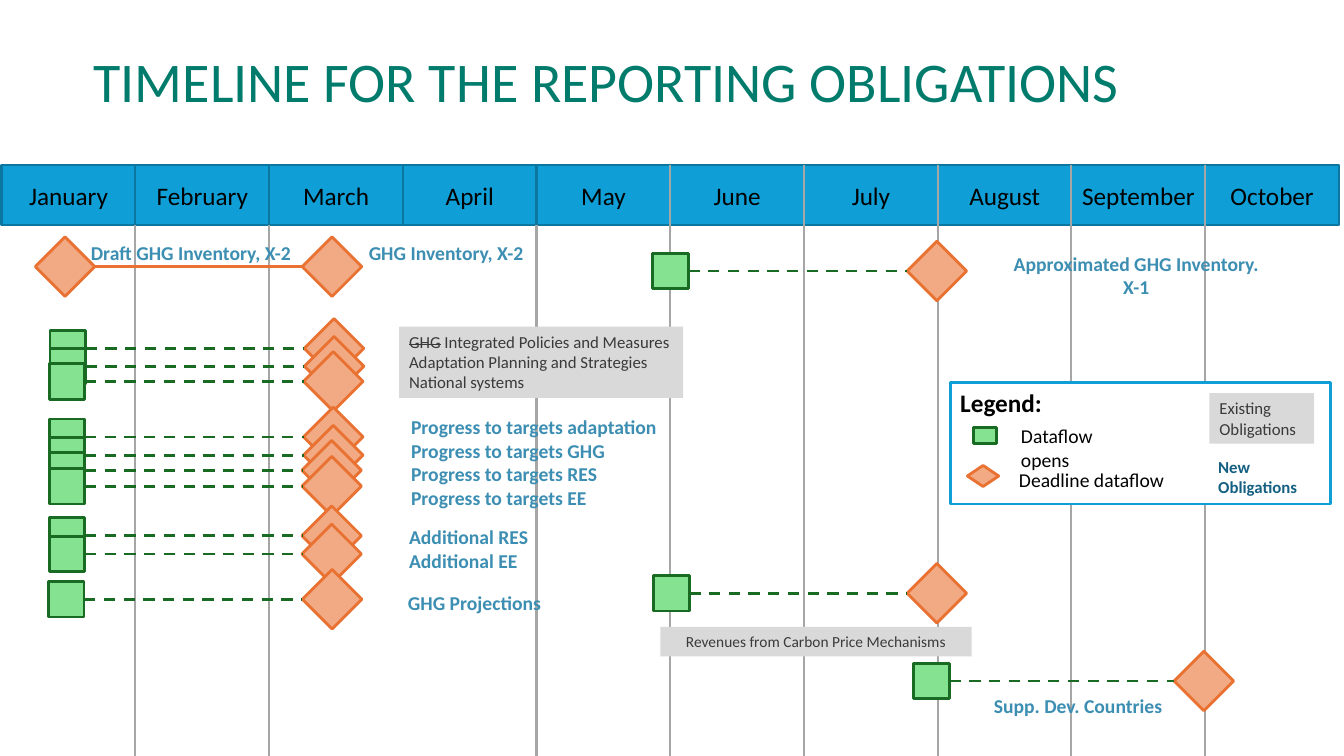
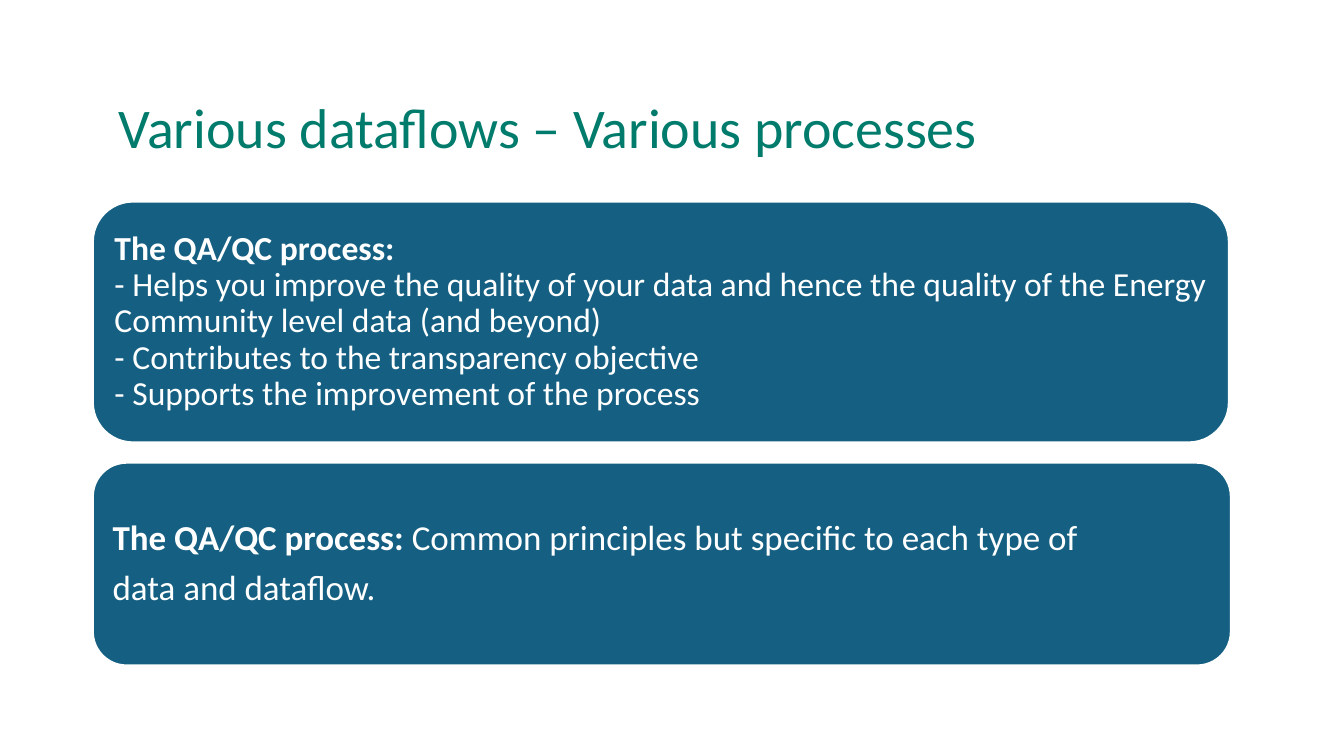
import pptx
import pptx.util
import pptx.dml.color
import pptx.enum.dml
import pptx.enum.shapes
import pptx.enum.text
import pptx.oxml.ns
import lxml.etree
from dataclasses import dataclass

Cm = pptx.util.Cm
Pt = pptx.util.Pt
Kind = pptx.enum.shapes.MSO_SHAPE
Align = pptx.enum.text.PP_ALIGN
Anchor = pptx.enum.text.MSO_ANCHOR


@dataclass(frozen=True)
class Theme:
    font: str = "Calibri"
    title: str = "007B6C"
    black: str = "000000"
    white: str = "FFFFFF"
    month: str = "0F9ED5"
    month_edge: str = "0B76A0"
    grid: str = "A6A6A6"
    deadline: str = "F2AA84"
    deadline_edge: str = "E97132"
    opening: str = "84E291"
    opening_edge: str = "196B24"
    new: str = "3C8EB2"
    navy: str = "156082"
    existing: str = "3A3A3A"
    existing_fill: str = "D9D9D9"
    title_size: int = 40
    month_size: int = 18
    label_size: int = 14
    small_size: int = 12
    tiny_size: int = 11
    panel_size: int = 24
    large_panel_size: int = 25
    thin: float = 1.5
    thick: float = 2


class Board:
    opening_side = 0.9
    deadline_side = 1.5

    def __init__(self, deck, theme):
        self.deck = deck
        self.theme = theme
        self.page = None

    def new_page(self):
        self.page = self.deck.slides.add_slide(self.deck.slide_layouts[6])

    def color(self, code):
        return pptx.dml.color.RGBColor.from_string(code)

    def shape(self, kind, place, fill, edge=None, width=None):
        shape = self.page.shapes.add_shape(kind, *map(Cm, place))
        shape.shadow.inherit = False
        shape.fill.solid()
        shape.fill.fore_color.rgb = self.color(fill)
        if edge:
            shape.line.color.rgb = self.color(edge)
            shape.line.width = Pt(width or self.theme.thick)
        else:
            shape.line.fill.background()
        return shape

    def set_text(self, shape, paras, size, color, bold=False, align=Align.LEFT,
                 anchor=Anchor.TOP, wrap=True, spacing=None, gap=0):
        frame = shape.text_frame
        frame.word_wrap = wrap
        frame.vertical_anchor = anchor
        for index, content in enumerate(paras):
            para = frame.add_paragraph() if index else frame.paragraphs[0]
            pieces = [(content, "")] if isinstance(content, str) else content
            para.text = pieces[0][0]
            for words, _ in pieces[1:]:
                para.add_run().text = words
            para.alignment = align
            if spacing:
                para.line_spacing = spacing
            if index and gap:
                para.space_before = Pt(gap)
            for span, (_, mark) in zip(para.runs, pieces):
                span.font.name = self.theme.font
                span.font.size = Pt(size)
                span.font.color.rgb = self.color(color)
                span.font.bold = bold or mark == "bold"
                if mark == "strike":
                    span._r.get_or_add_rPr().set("strike", "sngStrike")

    def text(self, place, paras, size, color, **style):
        box = self.page.shapes.add_textbox(*map(Cm, place))
        self.set_text(box, paras, size, color, **style)

    def title(self, left, top, words):
        self.text((left, top, 29.21, 3.68), [words], self.theme.title_size,
                  self.theme.title, anchor=Anchor.MIDDLE, spacing=0.9)

    def label(self, place, paras, align=Align.LEFT):
        self.text(place, paras, self.theme.label_size, self.theme.new,
                  bold=True, align=align, wrap=False)

    def existing(self, place, paras, size, **style):
        shape = self.shape(Kind.RECTANGLE, place, self.theme.existing_fill)
        self.set_text(shape, paras, size, self.theme.existing, **style)

    def line(self, start, end, color, width, dashed=False):
        line = self.page.shapes.add_connector(
            pptx.enum.shapes.MSO_CONNECTOR.STRAIGHT, *map(Cm, start + end))
        line.line.color.rgb = self.color(color)
        line.line.width = Pt(width)
        if dashed:
            line.line.dash_style = pptx.enum.dml.MSO_LINE.DASH
        properties = line._element.spPr
        lxml.etree.SubElement(properties, pptx.oxml.ns.qn("a:effectLst"))

    def month(self, place, name):
        shape = self.shape(Kind.RECTANGLE, place, self.theme.month,
                           self.theme.month_edge, self.theme.thin)
        shape.text_frame.margin_left = shape.text_frame.margin_right = 0
        self.set_text(shape, [name], self.theme.month_size, self.theme.black,
                      align=Align.CENTER, anchor=Anchor.MIDDLE)

    def opening(self, place):
        self.shape(Kind.RECTANGLE, place, self.theme.opening, self.theme.opening_edge)

    def deadline(self, place):
        self.shape(Kind.DIAMOND, place, self.theme.deadline, self.theme.deadline_edge)

    def centred(self, x, y, side):
        return x - side / 2, y - side / 2, side, side

    def dataflow(self, start, end, y):
        self.deadline(self.centred(end, y, self.deadline_side))
        self.opening(self.centred(start, y, self.opening_side))
        self.line((start + self.opening_side / 2, y), (end - self.deadline_side / 2, y),
                  self.theme.opening_edge, self.theme.thick, dashed=True)

    def draft_to_final(self, start, end, y):
        half = self.deadline_side / 2
        for x in (start, end):
            self.deadline(self.centred(x, y, self.deadline_side))
        self.line((start + half, y), (end - half, y),
                  self.theme.deadline_edge, self.theme.thick)

    def panel(self, place, paras, size, gap=0):
        shape = self.shape(Kind.ROUNDED_RECTANGLE, place, self.theme.navy,
                           self.theme.white, self.theme.thin)
        self.set_text(shape, paras, size, self.theme.white, anchor=Anchor.MIDDLE,
                      spacing=0.9, gap=gap)


def draw_calendar(board):
    theme = board.theme
    months = ["January", "February", "March", "April", "May", "June",
              "July", "August", "September", "October"]
    left, pitch, top, height = 0.04, 3.37, 4.17, 1.5
    for index, name in enumerate(months):
        board.month((left + index * pitch, top, 3.38, height), name)
    for index, name in enumerate(months):
        if name not in ("January", "April"):
            x = left + index * pitch
            start = top + height if index < 5 else top
            board.line((x, start), (x, 19.05), theme.grid, theme.thin)


def draw_legend(board):
    theme = board.theme
    frame = board.shape(Kind.RECTANGLE, (23.95, 9.63, 9.58, 3.07),
                        theme.white, theme.month)
    board.set_text(frame, ["Legend:"], theme.month_size, theme.black, bold=True)
    board.deadline((24.38, 11.73, 0.79, 0.53))
    board.opening((24.54, 10.77, 0.58, 0.41))
    for place, words in (((25.48, 10.57, 3.07, 0.71), "Dataflow opens"),
                         ((25.43, 11.66, 4.45, 0.61), "Deadline dataflow")):
        board.text(place, [words], theme.label_size, theme.black)
    board.existing((30.48, 9.91, 2.64, 1.27), ["Existing Obligations"], theme.small_size)
    board.text((30.45, 11.38, 2.64, 1.27), ["New Obligations"],
               theme.small_size, theme.navy, bold=True)


def draw_timeline(board):
    theme = board.theme
    board.new_page()
    board.title(2.11, 0.28, "TIMELINE FOR THE REPORTING OBLIGATIONS")
    draw_calendar(board)
    board.draft_to_final(1.64, 8.37, 6.72)
    march_flows = [(1.71, 8.42, (8.78, 9.23)),
                   (1.69, 8.4, (9.61, 11.01, 11.47)),
                   (1.69, 8.36, (11.85, 12.25, 13.5, 13.96)),
                   (1.67, 8.37, (15.1,))]
    for start, end, rows in march_flows:
        for y in rows:
            board.dataflow(start, end, y)
    for start, end, y in ((16.9, 23.61, 6.83), (16.92, 23.61, 14.95),
                          (23.48, 30.34, 17.16)):
        board.dataflow(start, end, y)
    draw_legend(board)

    board.existing((10.06, 8.23, 7.16, 1.8),
                   [[("GHG", "strike"), (" Integrated Policies and Measures", "")],
                    "Adaptation Planning and Strategies", "National systems"],
                   theme.small_size, wrap=False)
    board.existing((16.64, 15.8, 7.85, 0.74), ["Revenues from Carbon Price Mechanisms"],
                   theme.tiny_size, align=Align.CENTER)
    for place, paras in (
            ((2.01, 5.94, 5.61, 0.86), ["Draft GHG Inventory, X-2"]),
            ((9.02, 5.94, 4.45, 0.86), ["GHG Inventory, X-2"]),
            ((25.27, 6.22, 6.73, 1.45), ["Approximated GHG Inventory.", "X-1"]),
            ((24.77, 17.35, 4.8, 0.86), ["Supp. Dev. Countries"])):
        board.label(place, paras, Align.CENTER)
    targets = ["adaptation", "GHG", "RES", "EE"]
    for place, paras in (
            ((10.11, 10.34, 6.76, 2.64), [f"Progress to targets {name}" for name in targets]),
            ((10.06, 13.11, 3.56, 1.45), ["Additional RES", "Additional EE"]),
            ((10.03, 14.76, 3.91, 0.86), ["GHG Projections"])):
        board.label(place, paras)


def draw_processes(board):
    theme = board.theme
    board.new_page()
    board.title(2.74, 1.45, "Various dataflows – Various processes")
    heading = ("The QA/QC process:", "bold")
    board.panel((2.34, 5.08, 28.63, 6.07), [
        [heading],
        "- Helps you improve the quality of your data and hence the quality of "
        "the Energy Community level data (and beyond)",
        "- Contributes to the transparency objective",
        "- Supports the improvement of the process"], theme.panel_size)
    board.panel((2.34, 11.66, 28.68, 5.11), [
        [heading, (" Common principles but specific to each type of", "")],
        "data and dataflow."], theme.large_panel_size, gap=8.75)


def main():
    deck = pptx.Presentation()
    deck.slide_width, deck.slide_height = Cm(33.87), Cm(19.05)
    board = Board(deck, Theme())
    draw_timeline(board)
    draw_processes(board)
    deck.save("out.pptx")


if __name__ == "__main__":
    main()
